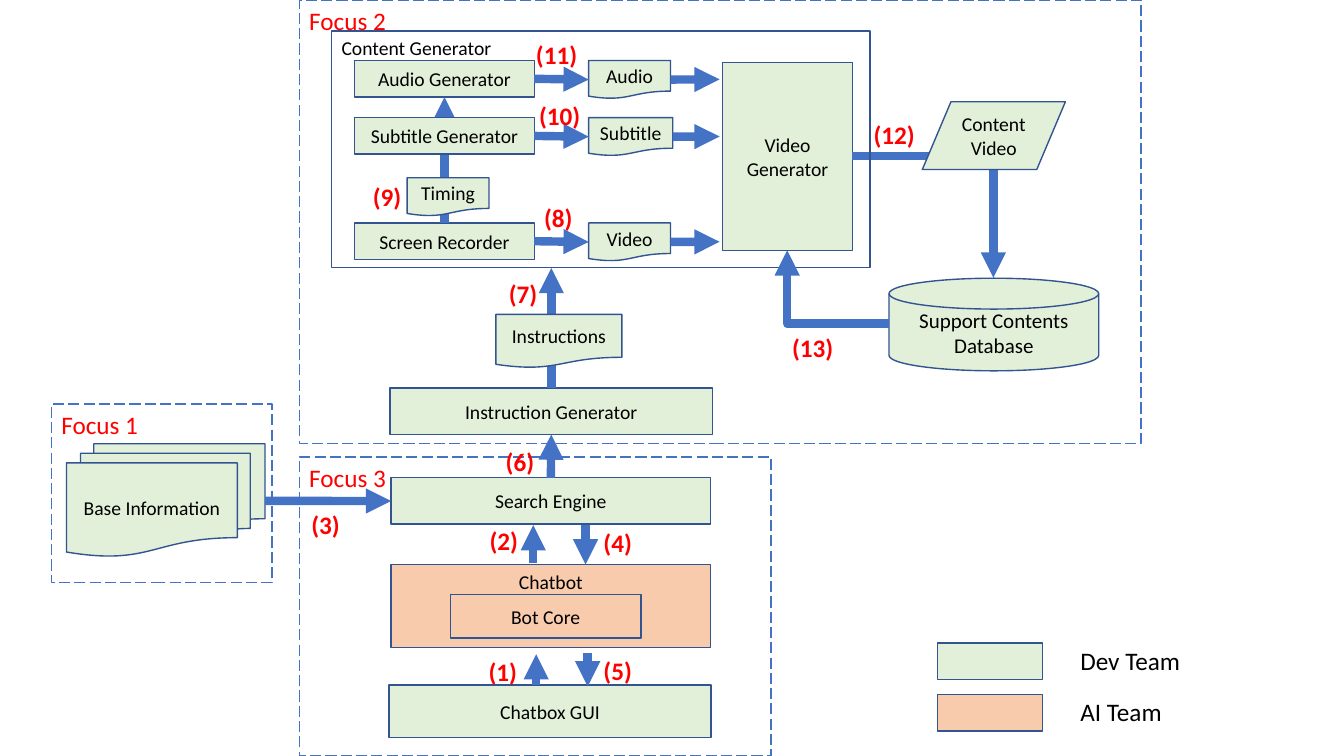
from lxml import etree
from pptx import Presentation
from pptx.dml.color import RGBColor
from pptx.enum import dml, shapes, text
from pptx.oxml import ns
from pptx.util import Pt

GREEN, ORANGE, EDGE, BLUE, RED, BLACK = "E2F0D9", "F8CBAD", "325491", "4472C4", "FF0000", "000000"
SHAPE = shapes.MSO_SHAPE
RECT, DOC = SHAPE.RECTANGLE, SHAPE.FLOWCHART_DOCUMENT
TOP, LEFT, BOTTOM, RIGHT = range(4)


def rgb(value):
    """Return the colour for a hex string."""
    return RGBColor.from_string(value)


def write(sp, words, size, color, bold=False, centred=False, middle=False):
    """Put formatted text into a shape."""
    tf = sp.text_frame
    tf.text = words
    tf.word_wrap = True
    tf.vertical_anchor = text.MSO_ANCHOR.MIDDLE if middle else text.MSO_ANCHOR.TOP
    p = tf.paragraphs[0]
    p.alignment = text.PP_ALIGN.CENTER if centred else text.PP_ALIGN.LEFT
    for r in p.runs:
        r.font.name, r.font.size, r.font.bold = "Calibri", Pt(size), bold
        r.font.color.rgb = rgb(color)


def outline(s, kind, box, fill, line):
    """Add a preset shape with a thin line and an optional fill."""
    sp = s.shapes.add_shape(kind, *map(Pt, box))
    sp.shadow.inherit = False
    if fill:
        sp.fill.solid()
        sp.fill.fore_color.rgb = rgb(fill)
    else:
        sp.fill.background()
    sp.line.color.rgb, sp.line.width = rgb(line), Pt(1)
    return sp


def node(s, words, box, kind=RECT, fill=GREEN, size=14, middle=True):
    """Add a step of the flow."""
    sp = outline(s, kind, box, fill, EDGE)
    write(sp, words, size, BLACK, centred=True, middle=middle)
    return sp


def focus(s, words, box):
    """Add a dashed focus area."""
    sp = outline(s, RECT, box, None, BLUE)
    sp.line.dash_style = dml.MSO_LINE.LONG_DASH
    write(sp, words, 18, RED)


def label(s, words, x, y, w, color=RED, bold=True):
    """Add a step number or a legend entry."""
    sp = s.shapes.add_textbox(Pt(x), Pt(y), Pt(w), Pt(29))
    write(sp, words, 18, color, bold)


def style_arrow(sp):
    """Make a connector a thick blue arrow without a shadow."""
    sp.line.color.rgb, sp.line.width = rgb(BLUE), Pt(6)
    etree.SubElement(sp.line._get_or_add_ln(), ns.qn("a:tailEnd"), type="triangle")
    etree.SubElement(sp._element.spPr, ns.qn("a:effectLst"))


def arrow(s, start, end, start_at=None, end_at=None):
    """Draw a straight arrow, joined to the given (shape, side) pairs."""
    sp = s.shapes.add_connector(shapes.MSO_CONNECTOR.STRAIGHT, *map(Pt, start + end))
    if start_at:
        sp.begin_connect(*start_at)
    if end_at:
        sp.end_connect(*end_at)
    style_arrow(sp)


def corner(s, box, turned=False):
    """Draw an arrow with one corner, optionally turned by half a circle."""
    x, y, w, h = box
    sp = s.shapes.add_connector(shapes.MSO_CONNECTOR.ELBOW, *map(Pt, (x, y, x + w, y + h)))
    sp._element.spPr.find(ns.qn("a:prstGeom")).set("prst", "bentConnector2")
    if turned:
        sp._element.spPr.find(ns.qn("a:xfrm")).set("rot", "10800000")
    style_arrow(sp)


def media_row(s, maker, product, y, w=58.5):
    """Add a generator, its product and the arrows towards the video generator."""
    box = node(s, maker, (253.4, y, 128.2, 26.2))
    doc = node(s, product, (420.5, y, w, 27.3), DOC)
    mid = y + 13.5
    arrow(s, (381.6, mid), (420.5, mid), (box, RIGHT), (doc, LEFT))
    arrow(s, (420.5 + w, mid), (514, mid), (doc, RIGHT))
    return box


def content_area(s):
    """Draw the content generator and where its videos go."""
    audio = media_row(s, "Audio Generator", "Audio", 43.2)
    recorder = media_row(s, "Screen Recorder", "Video", 159.2)
    arrow(s, (317.5, 159.2), (317.5, 69.4), (recorder, TOP), (audio, BOTTOM))
    media_row(s, "Subtitle Generator", "Subtitle", 84, 60)
    node(s, "Timing", (290.8, 127, 58.5, 27.3), DOC)
    node(s, "Video Generator", (516.2, 44.6, 92.8, 134.4))
    corner(s, (608.8, 111.6, 100.8, 86.8))
    node(s, "Content Video", (658.8, 72.7, 102.2, 48.4), SHAPE.FLOWCHART_DATA)
    node(s, "Support Contents Database", (635, 198.7, 149.8, 66.2),
         SHAPE.FLOWCHART_MAGNETIC_DISK, size=15)
    frame = outline(s, RECT, (236.9, 22.3, 384.5, 169), None, EDGE)
    write(frame, "Content Generator", 14, BLACK)
    corner(s, (562.3, 178.8, 72.7, 52.4), turned=True)


def chat_area(s):
    """Draw the path from the chatbox to the instructions."""
    base = (47.5, 317, 141.8, 80.4)
    node(s, "Base Information", base, SHAPE.FLOWCHART_MULTIDOCUMENT)
    node(s, "Chatbox GUI", (278, 489.4, 230, 37.4))
    node(s, "Chatbot", (279.4, 403.2, 228.2, 59.2), fill=ORANGE, middle=False)
    node(s, "Bot Core", (321.8, 424.8, 136, 31), fill=ORANGE)
    search = node(s, "Search Engine", (279.4, 341.3, 228.2, 33.1))
    maker = node(s, "Instruction Generator", (278.6, 277.2, 230.4, 33.2))
    arrow(s, (189.4, 357.8), (279.4, 357.8), end_at=(search, LEFT))
    arrow(s, (393.8, 341.3), (393.8, 310.4), (search, TOP), (maker, BOTTOM))
    arrow(s, (393.8, 277.2), (393.8, 191.4), (maker, TOP))
    node(s, "Instructions", (354.2, 224.6, 90, 38.2), DOC)
    for x, y1, y2 in ((383, 489.6, 467.3), (419.8, 466.6, 490.3),
                      (380.9, 402.5, 375.1), (418.3, 375.1, 403.2)):
        arrow(s, (x, y1), (x, y2))


def main():
    """Build the slide."""
    prs = Presentation()
    prs.slide_width, prs.slide_height = Pt(960), Pt(540)
    s = prs.slides.add_slide(prs.slide_layouts[6])
    content_area(s)
    chat_area(s)
    focus(s, "Focus 1", (36.7, 288.7, 157.7, 127.4))
    focus(s, "Focus 2", (213.8, 0, 601.2, 316.8))
    focus(s, "Focus 3", (213.8, 326.5, 337, 213.5))
    numbers = ((342, 465), (342.7, 371.5), (215.3, 360), (424, 373), (424, 464.4),
               (354.2, 315.4), (356.4, 195), (381.6, 141), (259.2, 126),
               (378, 68.4), (375.8, 24.5), (617, 81.4), (558.7, 234))
    for i, (x, y) in enumerate(numbers, 1):
        label(s, f"({i})", x, y, 39 if i < 10 else 47)
    for words, fill, y in (("Dev Team", GREEN, 459.2), ("AI Team", ORANGE, 496.1)):
        outline(s, RECT, (669.6, y, 74.9, 26), fill, EDGE)
        label(s, words, 764.6, y - 2, 94.3, BLACK, False)
    prs.save("out.pptx")


if __name__ == "__main__":
    main()
